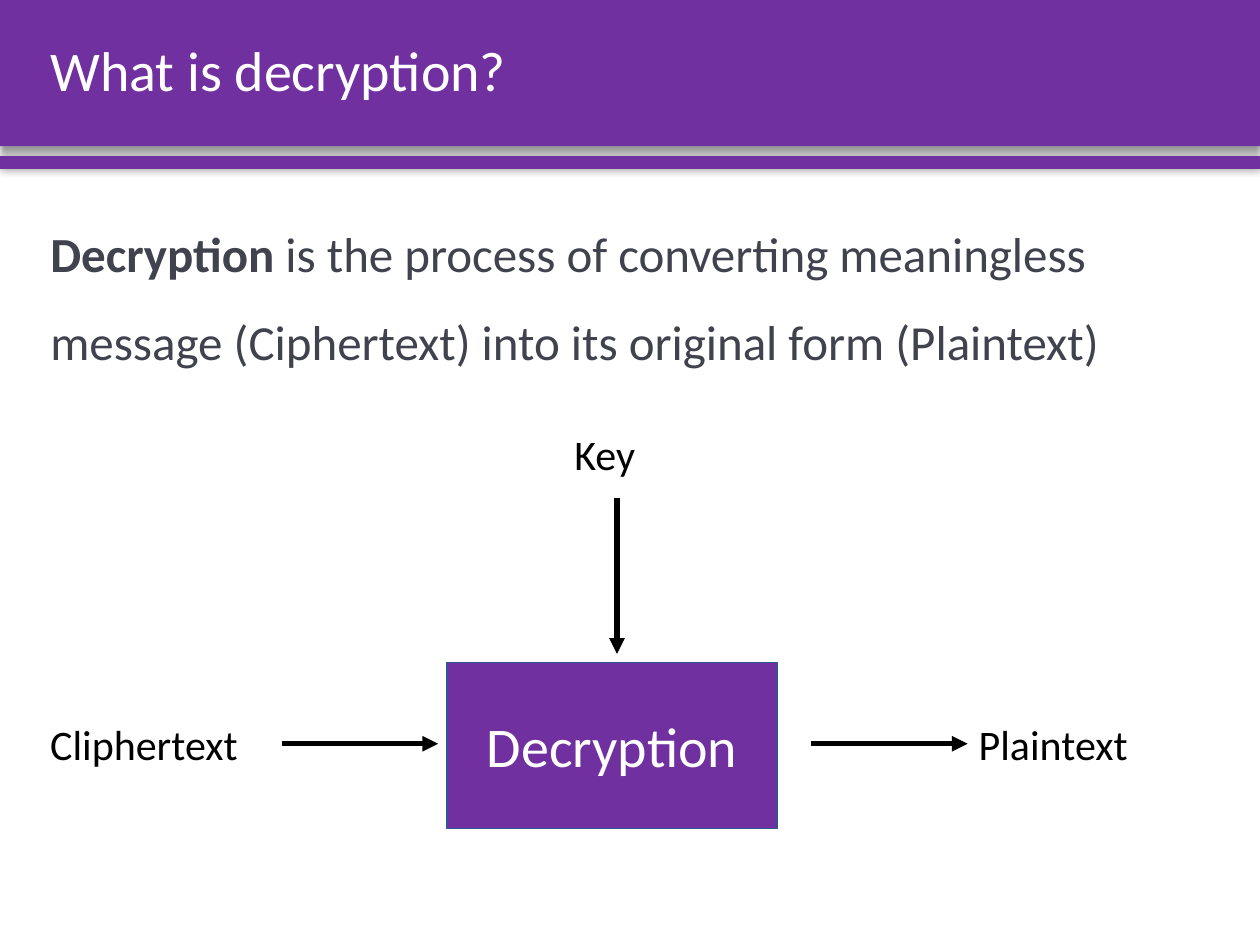
from dataclasses import dataclass

from lxml import etree
from pptx import Presentation
from pptx.dml.color import RGBColor
from pptx.enum.shapes import MSO_CONNECTOR, MSO_SHAPE
from pptx.enum.text import MSO_ANCHOR, MSO_AUTO_SIZE, PP_ALIGN
from pptx.oxml.ns import qn
from pptx.util import Pt

RECTANGLE = MSO_SHAPE.RECTANGLE
STRAIGHT = MSO_CONNECTOR.STRAIGHT
MIDDLE = MSO_ANCHOR.MIDDLE
TOP = MSO_ANCHOR.TOP
LEFT = PP_ALIGN.LEFT
CENTER = PP_ALIGN.CENTER
FIXED = MSO_AUTO_SIZE.NONE
GROW = MSO_AUTO_SIZE.SHAPE_TO_FIT_TEXT


@dataclass(frozen=True)
class Theme:
    font: str = "Calibri"
    purple: RGBColor = RGBColor(0x70, 0x30, 0xA0)
    outline: RGBColor = RGBColor(0x32, 0x54, 0x91)
    body: RGBColor = RGBColor(0x40, 0x42, 0x4E)
    white: RGBColor = RGBColor(0xFF, 0xFF, 0xFF)
    black: RGBColor = RGBColor(0, 0, 0)
    title_size: int = 32
    body_size: int = 28
    label_size: int = 24


theme = Theme()


def place(box, left, top, width, height):
    box.left, box.top, box.width, box.height = Pt(left), Pt(top), Pt(width), Pt(height)


def write(box, runs, size, color, align=LEFT, anchor=TOP, fit=FIXED, spacing=1.0):
    frame = box.text_frame
    frame.word_wrap = True
    frame.auto_size = fit
    frame.vertical_anchor = anchor
    para = frame.paragraphs[0]
    para.alignment = align
    para.line_spacing = spacing
    para.space_before = Pt(0)
    for text, bold in runs:
        span = para.add_run()
        span.text = text
        span.font.name = theme.font
        span.font.size = Pt(size)
        span.font.bold = bold
        span.font.color.rgb = color


deck = Presentation()
deck.slide_width, deck.slide_height = Pt(720), Pt(540)
page = deck.slides.add_slide(deck.slide_layouts[1])
title, body = page.shapes.title, page.placeholders[1]

for top, height, blur, distance, direction in [(0, 83.5, 4, 3, 90), (89.3, 7.2, 5, 0, 0)]:
    bar = page.shapes.add_shape(RECTANGLE, Pt(0), Pt(top), Pt(720), Pt(height))
    bar.fill.solid()
    bar.fill.fore_color.rgb = theme.purple
    bar.line.fill.background()
    bar.shadow.inherit = False
    effects = bar._element.spPr.find(qn("a:effectLst"))
    shadow = etree.SubElement(effects, qn("a:outerShdw"), blurRad=str(Pt(blur)),
                              dist=str(Pt(distance)), dir=str(direction * 60000),
                              algn="t", rotWithShape="0")
    shade = etree.SubElement(shadow, qn("a:srgbClr"), val=str(theme.black))
    etree.SubElement(shade, qn("a:alpha"), val="40000")

page.shapes._spTree.append(body._element)
page.shapes._spTree.append(title._element)

place(body, 21.6, 107.3, 687.6, 133.2)
properties = body.text_frame.paragraphs[0]._p.get_or_add_pPr()
properties.set("marL", "0")
properties.set("indent", "0")
etree.SubElement(properties, qn("a:buNone"))
write(body, [("Decryption", True),
             (" is the process of converting meaningless message (Ciphertext) "
              "into its original form (Plaintext)", False)],
      theme.body_size, theme.body, spacing=1.5)

place(title, 21.6, 0, 681, 83.5)
write(title, [("What is decryption?", False)], theme.title_size, theme.white,
      anchor=MIDDLE, spacing=0.9)

diagram = page.shapes.add_group_shape()
process = diagram.shapes.add_shape(RECTANGLE, Pt(255.6), Pt(378.5), Pt(188.6), Pt(95))
process.shadow.inherit = False
process.fill.solid()
process.fill.fore_color.rgb = theme.purple
process.line.color.rgb = theme.outline
process.line.width = Pt(1)
write(process, [("Decryption", False)], theme.title_size, theme.white, CENTER, MIDDLE)

reach = 89.2
for left, top, across, down in [(463.7, 425, reach, 0), (161.2, 425, reach, 0),
                                (352.6, 284.5, 0, reach)]:
    arrow = diagram.shapes.add_connector(STRAIGHT, Pt(left), Pt(top),
                                         Pt(left + across), Pt(top + down))
    arrow.line.color.rgb = theme.black
    arrow.line.width = Pt(3)
    etree.SubElement(arrow.line._get_or_add_ln(), qn("a:tailEnd"), type="triangle")
    etree.SubElement(arrow._element.spPr, qn("a:effectLst"))

for text, left, top, width in [("Key", 321.1, 241.4, 61.2),
                               ("Cliphertext", 21.6, 407, 136.8),
                               ("Plaintext", 552.2, 407, 129.6)]:
    label = diagram.shapes.add_textbox(Pt(left), Pt(top), Pt(width), Pt(36.4))
    write(label, [(text, False)], theme.label_size, theme.black, fit=GROW)

deck.save("out.pptx")
